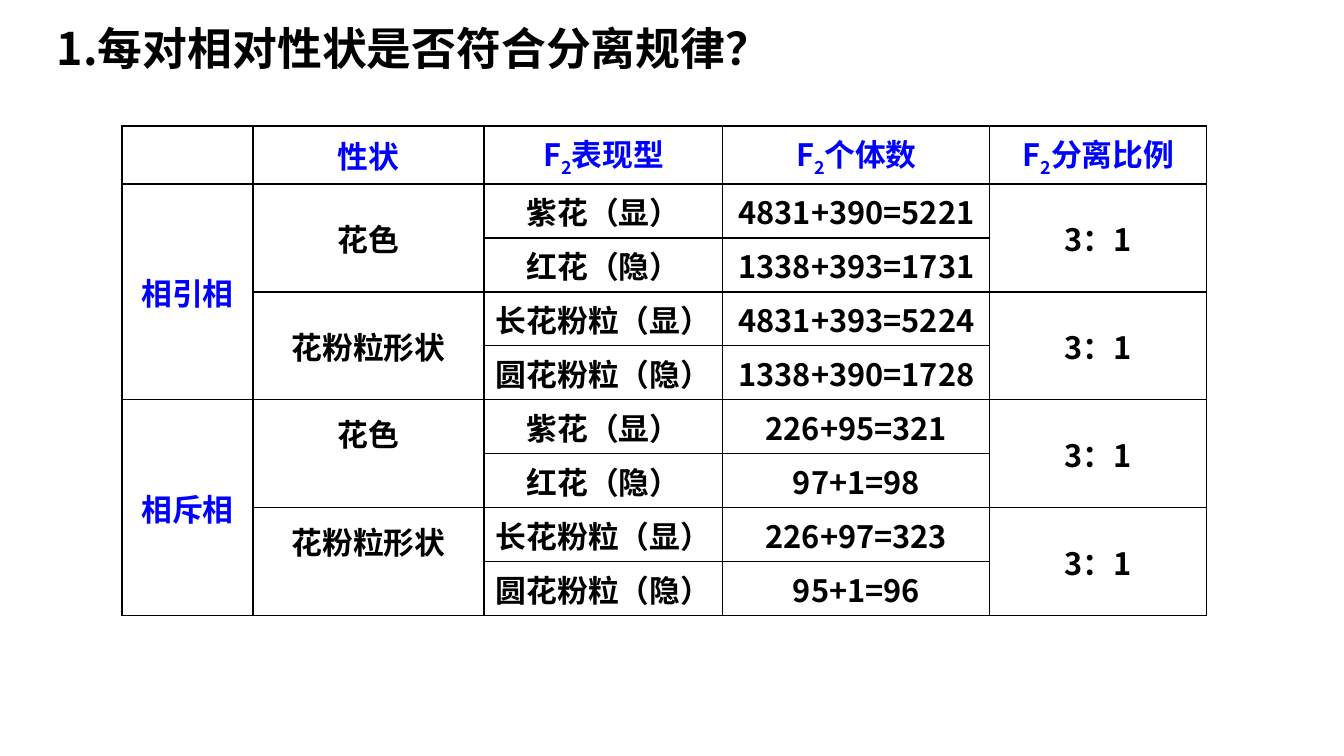
"""Build a slide testing whether each trait pair follows the law of segregation."""
from dataclasses import dataclass

from lxml.etree import SubElement
from pptx import Presentation
from pptx.dml.color import RGBColor as Rgb
from pptx.enum.text import MSO_ANCHOR as Anchor, PP_ALIGN as Align
from pptx.oxml.ns import qn
from pptx.util import Emu, Pt

HEADING = "1.每对相对性状是否符合分离规律？"
COLUMNS = ["", "性状", "表现型", "个体数", "分离比例"]
F2_COLUMNS = (2, 3, 4)
RATIO = "3：1"
PHASES = [
    ("相引相", [
        ("花色", [("紫花（显）", "4831+390=5221"), ("红花（隐）", "1338+393=1731")]),
        ("花粉粒形状", [("长花粉粒（显）", "4831+393=5224"), ("圆花粉粒（隐）", "1338+390=1728")]),
    ]),
    ("相斥相", [
        ("花色", [("紫花（显）", "226+95=321"), ("红花（隐）", "97+1=98")]),
        ("花粉粒形状", [("长花粉粒（显）", "226+97=323"), ("圆花粉粒（隐）", "95+1=96")]),
    ]),
]
RAISED_PHASE = "相斥相"
RAISED_MARGIN = 11

SLIDE_SIZE = (1344, 756)
HEADING_BOX = (47, 16, 1159, 70)
TABLE_CORNER = (122, 126)
COLUMN_WIDTHS = [131, 231, 239, 267, 217]
HEADER_HEIGHT, ROW_HEIGHT = 58, 54


@dataclass(frozen=True)
class Theme:
    font: str = "Noto Sans CJK SC"
    ink: str = "000000"
    accent: str = "0000FF"
    heading_size: int = 32
    table_size: int = 22
    border: int = 1


THEME = Theme()


def px(length):
    return Emu(round(length * 914400 / 100.8))


def style(paragraph, size, color):
    font = paragraph.font
    font.size, font.bold = Pt(size), True
    font.color.rgb = Rgb.from_string(color)
    font.name = THEME.font
    defaults = paragraph._p.pPr.find(qn("a:defRPr"))
    SubElement(defaults, qn("a:ea"), typeface=THEME.font)


def frame_cell(cell):
    properties = cell._tc.get_or_add_tcPr()
    for side in ("lnL", "lnR", "lnT", "lnB"):
        line = SubElement(properties, qn(f"a:{side}"), w=str(Pt(THEME.border)))
        fill = SubElement(line, qn("a:solidFill"))
        SubElement(fill, qn("a:srgbClr"), val=THEME.ink)
    cell.fill.background()
    cell.vertical_anchor = Anchor.MIDDLE


def write(cell, text, color=THEME.ink, f2=False):
    paragraph = cell.text_frame.paragraphs[0]
    paragraph.alignment = Align.CENTER
    if f2:
        paragraph.add_run().text = "F"
        subscript = paragraph.add_run()
        subscript.text = "2"
        subscript.font._element.set("baseline", "-25000")
    paragraph.add_run().text = text
    style(paragraph, THEME.table_size, color)


def merge_down(table, row, column, count):
    cell = table.cell(row, column)
    cell.merge(table.cell(row + count - 1, column))
    return cell


def add_heading(slide):
    frame = slide.shapes.add_textbox(*map(px, HEADING_BOX)).text_frame
    frame.word_wrap = True
    frame.vertical_anchor = Anchor.MIDDLE
    paragraph = frame.paragraphs[0]
    paragraph.text = HEADING
    paragraph.line_spacing = 0.9
    style(paragraph, THEME.heading_size, THEME.ink)


def add_segregation_table(slide):
    body_rows = sum(len(forms) for _, traits in PHASES for _, forms in traits)
    heights = [HEADER_HEIGHT] + [ROW_HEIGHT] * body_rows
    size = (sum(COLUMN_WIDTHS), sum(heights))
    table = slide.shapes.add_table(
        len(heights), len(COLUMNS), *map(px, TABLE_CORNER + size)).table
    table.first_row = table.horz_banding = False
    for column, width in zip(table.columns, COLUMN_WIDTHS):
        column.width = px(width)
    for row, height in zip(table.rows, heights):
        row.height = px(height)
    for cell in table.iter_cells():
        frame_cell(cell)

    for column, label in enumerate(COLUMNS):
        if label:
            write(table.cell(0, column), label, THEME.accent, column in F2_COLUMNS)
    row = 1
    for phase, traits in PHASES:
        phase_rows = sum(len(forms) for _, forms in traits)
        write(merge_down(table, row, 0, phase_rows), phase, THEME.accent)
        for trait, forms in traits:
            trait_cell = merge_down(table, row, 1, len(forms))
            write(trait_cell, trait)
            if phase == RAISED_PHASE:
                trait_cell.vertical_anchor = Anchor.TOP
                trait_cell.margin_top = px(RAISED_MARGIN)
            write(merge_down(table, row, 4, len(forms)), RATIO)
            for phenotype, count in forms:
                write(table.cell(row, 2), phenotype)
                write(table.cell(row, 3), count)
                row += 1


def main():
    deck = Presentation()
    deck.slide_width, deck.slide_height = map(px, SLIDE_SIZE)
    slide = deck.slides.add_slide(deck.slide_layouts[6])
    add_heading(slide)
    add_segregation_table(slide)
    deck.save("out.pptx")


if __name__ == "__main__":
    main()
